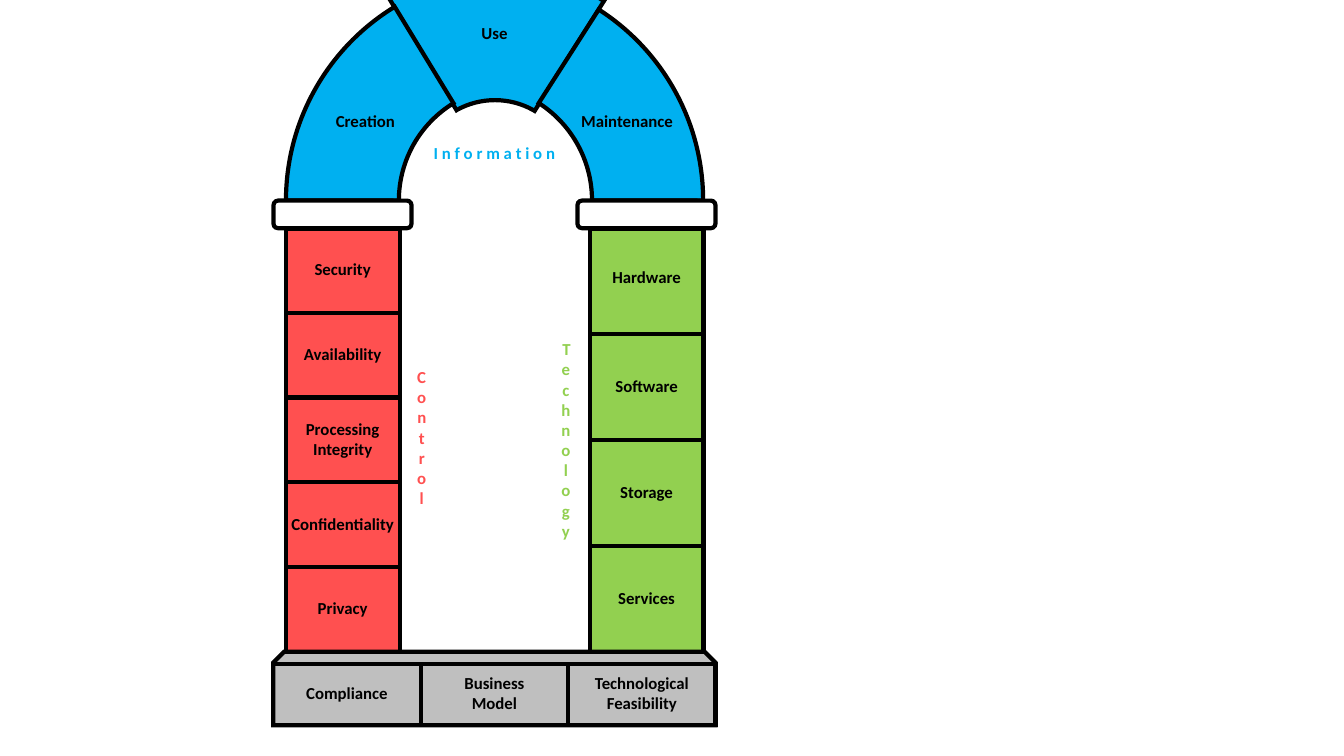
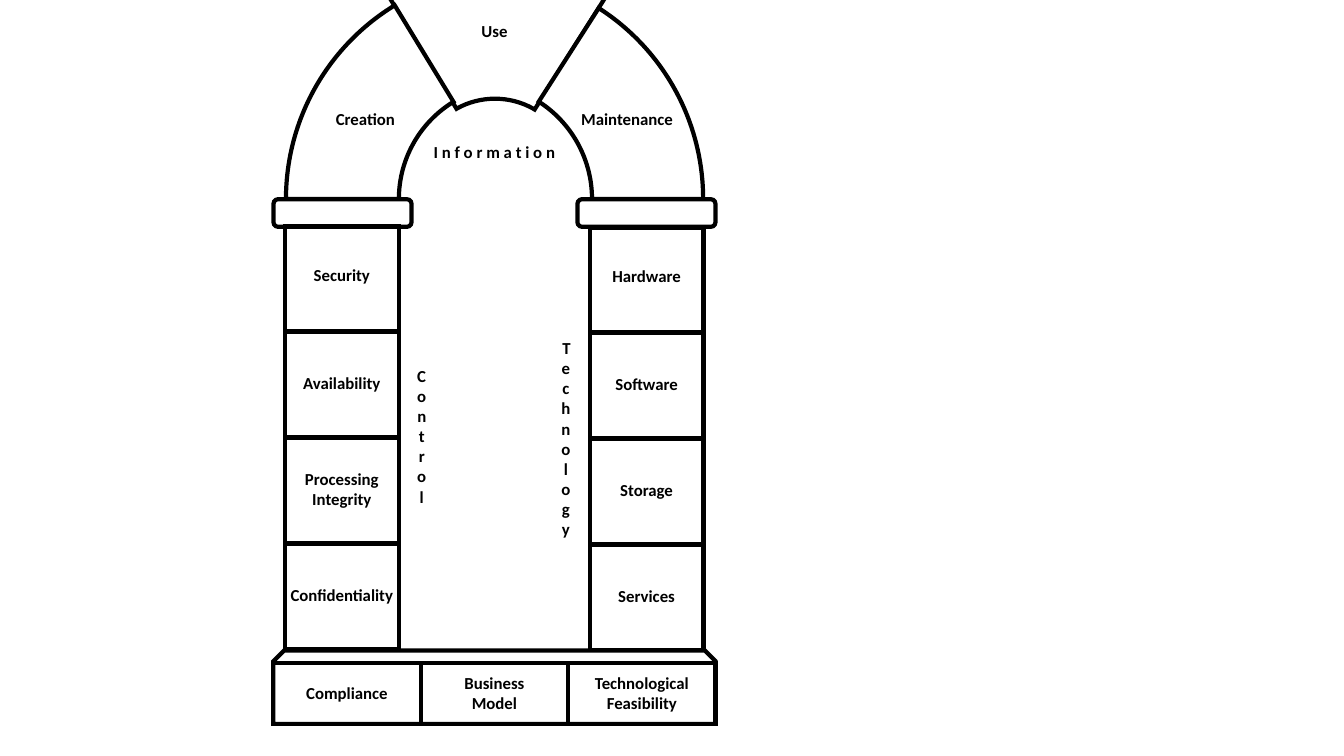
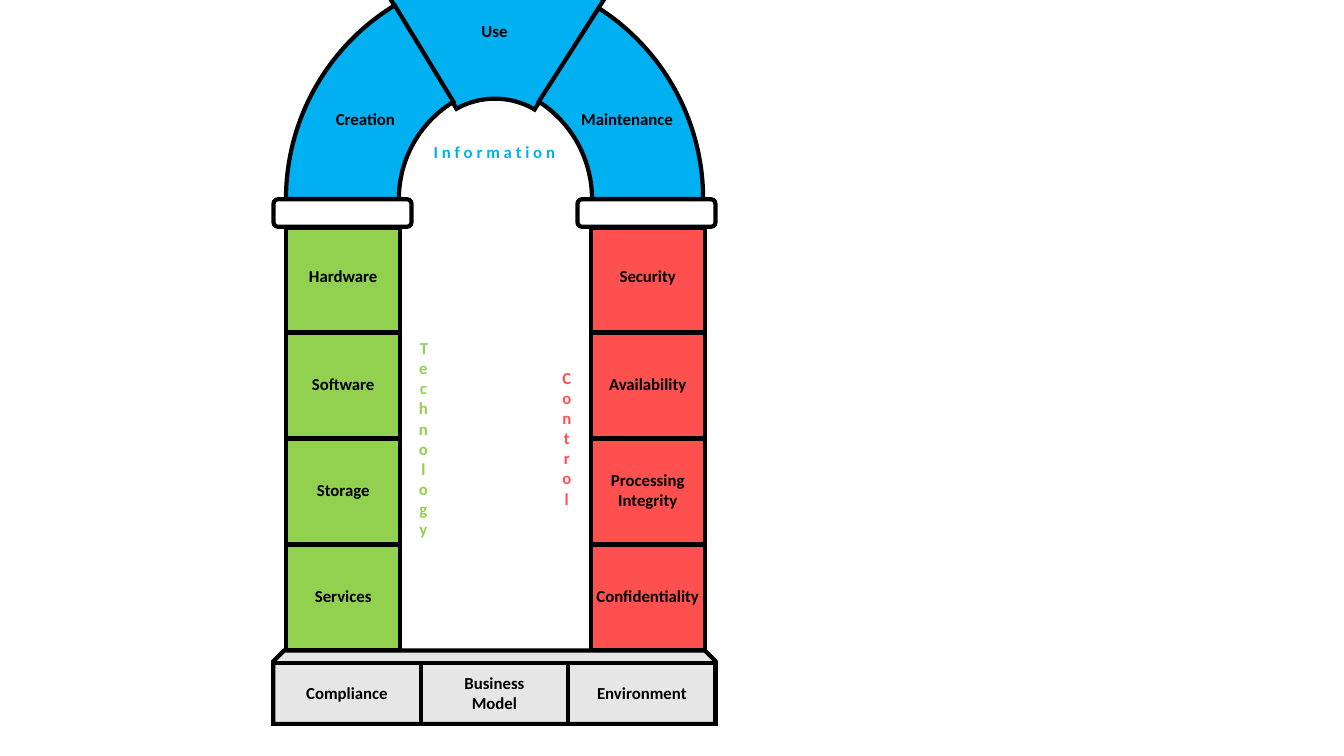
from lxml import etree
from pptx import Presentation
from pptx.dml.color import RGBColor
from pptx.enum.shapes import MSO_SHAPE
from pptx.enum.text import MSO_ANCHOR, PP_ALIGN
from pptx.oxml.ns import qn
from pptx.util import Pt

RECT = MSO_SHAPE.RECTANGLE
ROUND = MSO_SHAPE.ROUNDED_RECTANGLE
SNIP = MSO_SHAPE.SNIP_2_SAME_RECTANGLE
ARC = MSO_SHAPE.BLOCK_ARC
MIDDLE = MSO_ANCHOR.MIDDLE
CENTER = PP_ALIGN.CENTER

COLORS = {
    "black": "000000", "white": "FFFFFF", "blue": "00B0F0",
    "red": "FF5050", "green": "92D050", "gray": "BFBFBF", "pale": "E7E6E6",
}
FONT = "Calibri"

# Arch: left, top, width, height, mirrored, adjustments
ARCS = [
    (206.3, -22.3, 294.5, 291, True, (142.655, 180.659, 0.319)),
    (178.3, -19.8, 324, 324, True, (108, 142.403, 0.245)),
    (204.3, -19.8, 324, 324, False, (108, 143.181, 0.249)),
]
STAGES = [("Use", 334.5, 11.5, 37.4), ("Creation", 230.4, 74.2, 61.2),
          ("Maintenance", 405.1, 74.2, 85.7)]

# Pillars: left edges of block, cap and side word
SIDES = [(204.1, 195.4, 285.4), (421.2, 412.5, 388.4)]
BLOCK_W, PILLAR_Y, PILLAR_H = 81.4, 161.9, 302.6
CAP_Y, CAP_W, CAP_H = 142.3, 98.6, 19.7
WORD_W = 31.7
WORDS = {"Control": ("red", 242.6, 137.5), "Technology": ("green", 216, 194.4)}

BASE_X, BASE_Y, BASE_W, BASE_H = 195.2, 464.6, 316, 52.5
FOOT_Y, FOOT_H = 473.5, 43.6

CONTROL = ["Security", "Availability", "Processing\nIntegrity", "Confidentiality"]
TECH = ["Hardware", "Software", "Storage", "Services"]
FEET = ["Compliance", "Business\nModel", "Technological\nFeasibility"]

# Each pillar: word, blocks, shift of the blocks, shift of the word
STILL = (0, 0)
SLIDES = [
    {"drop": 1, "plain": False, "base": "gray", "feet": FEET,
     "pillars": [("Control", CONTROL + ["Privacy"], STILL, STILL),
                 ("Technology", TECH, STILL, STILL)]},
    {"drop": 0, "plain": True, "base": "white", "feet": FEET,
     "pillars": [("Control", CONTROL, (-0.6, -0.7), STILL),
                 ("Technology", TECH, STILL, STILL)]},
    {"drop": 0, "plain": False, "base": "pale",
     "feet": FEET[:2] + ["Environment"],
     "pillars": [("Technology", TECH, (0.4, 0), (1.2, 0)),
                 ("Control", CONTROL, (0.8, 0), (0.6, 1.4))]},
]


def write(shape, text, color="black", below=3.6):
    """Put bold centred text in a shape, one paragraph a line."""
    frame = shape.text_frame
    frame.text = text
    frame.word_wrap = False
    frame.vertical_anchor = MIDDLE
    frame.margin_left = frame.margin_right = 0
    frame.margin_bottom = Pt(below)
    for par in frame.paragraphs:
        par.alignment = CENTER
        for run in par.runs:
            run.font.name = FONT
            run.font.size = Pt(12)
            run.font.bold = True
            run.font.color.rgb = RGBColor.from_string(COLORS[color])


def draw(slide, kind, box, fill=None):
    """Add a shape with a thick black outline, filled if a colour is given."""
    shape = slide.shapes.add_shape(kind, *[Pt(n) for n in box])
    shape.shadow.inherit = False
    if fill:
        shape.fill.solid()
        shape.fill.fore_color.rgb = RGBColor.from_string(COLORS[fill])
    else:
        shape.fill.background()
    shape.line.color.rgb = RGBColor.from_string(COLORS["black"])
    shape.line.width = Pt(3)
    line = shape._element.spPr.find(qn("a:ln"))
    etree.SubElement(line, qn("a:miter"), lim="800000")
    return shape


deck = Presentation()
deck.slide_width, deck.slide_height = Pt(960), Pt(540)

for page in SLIDES:
    slide = deck.slides.add_slide(deck.slide_layouts[6])
    drop, plain = page["drop"], page["plain"]

    # Arch
    for x, y, w, h, flip, adjust in ARCS:
        arc = draw(slide, ARC, (x, y + drop, w, h), "white" if plain else "blue")
        for i, value in enumerate(adjust):
            arc.adjustments[i] = value
        if flip:
            arc._element.spPr.find(qn("a:xfrm")).set("flipH", "1")
    theme = ("I n f o r m a t i o n", 298.5, 97.6, 109.4)
    for text, x, y, w in STAGES + [theme]:
        label = slide.shapes.add_textbox(Pt(x), Pt(y + drop), Pt(w), Pt(21.6))
        tinted = text == theme[0] and not plain
        write(label, text, "blue" if tinted else "black")

    # Pillars
    for pillar, (x, cap_x, word_x) in zip(page["pillars"], SIDES):
        word, blocks, (dx, dy), (word_dx, word_dy) = pillar
        color, word_y, word_h = WORDS[word]
        if plain:
            fill, ink = "white", "black"
        else:
            fill, ink = color, color
        x, top = x + dx, PILLAR_Y + drop + dy
        draw(slide, RECT, (x, top + 0.6, BLOCK_W, PILLAR_H - 0.6), fill)
        draw(slide, ROUND, (cap_x, CAP_Y + drop, CAP_W, CAP_H), "white")
        step = PILLAR_H / len(blocks)
        for i, text in enumerate(blocks):
            block = draw(slide, RECT, (x, top + i * step, BLOCK_W, step))
            raised = i == 0 and len(blocks) == 4
            write(block, text, below=9 if raised else 5.4)
        side = slide.shapes.add_textbox(
            Pt(word_x + word_dx), Pt(word_y + word_dy + drop),
            Pt(WORD_W), Pt(word_h))
        write(side, word, ink)
        side.text_frame.word_wrap = True
        side.text_frame._txBody.bodyPr.set("vert", "wordArtVert")

    # Base
    base = draw(slide, SNIP, (BASE_X, BASE_Y + drop, BASE_W, BASE_H), page["base"])
    base.adjustments[0] = 0.149
    foot_w = BASE_W / len(page["feet"])
    for i, text in enumerate(page["feet"]):
        box = (BASE_X + i * foot_w, FOOT_Y + drop, foot_w, FOOT_H)
        write(draw(slide, RECT, box), text, below=4.6 + 2 * drop)

deck.save("out.pptx")
